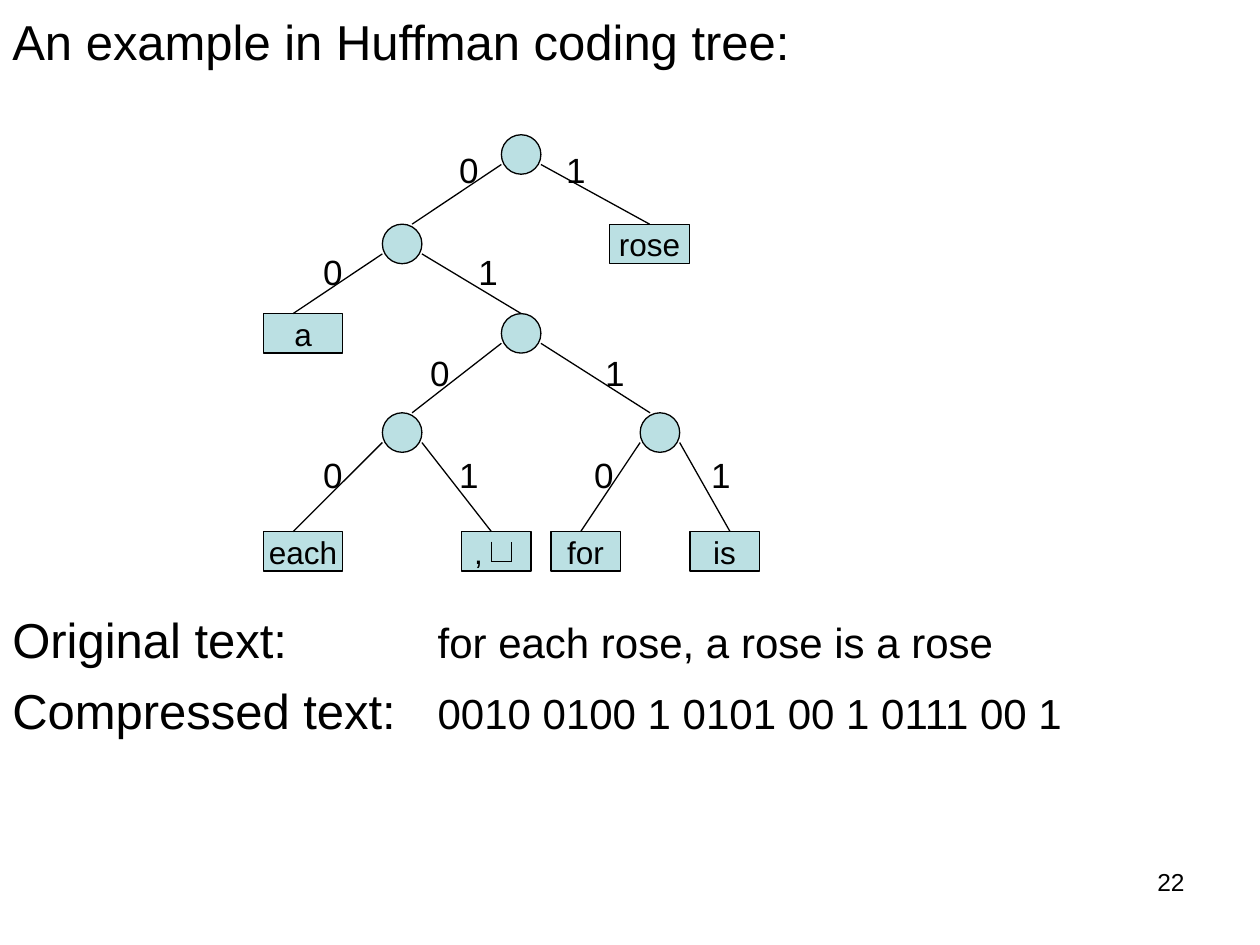
from dataclasses import dataclass
from itertools import pairwise

from lxml import etree
from pptx import Presentation
from pptx.dml.color import RGBColor
from pptx.enum import shapes, text
from pptx.oxml import ns
from pptx.util import Pt


@dataclass(frozen=True)
class Theme:
    font: str = "Arial"
    ink: RGBColor = RGBColor(0, 0, 0)
    node: RGBColor = RGBColor(0xBB, 0xE0, 0xE3)
    line: float = 0.75
    heading: int = 28
    message: int = 24
    bit: int = 20
    word: int = 18
    page: int = 14


THEME = Theme()
NODE = 22.6     # diameter of an inner node, height of a leaf
EXIT = 17       # height on a parent at which its branches start
ENTRY = 17      # usual distance from a child's left edge to its branch
BIT_TOP, BIT_STEP = 19.5, 58

# name: (left, top, width, word); inner nodes have no word
NODES = {
    "root": (136, 0, NODE, None),
    "0": (68, 51.1, NODE, None),
    "1": (198, 51.1, 45.4, "rose"),
    "00": (0, 102.2, 45.4, "a"),
    "01": (136, 102.2, NODE, None),
    "010": (68, 158.9, NODE, None),
    "011": (215.3, 158.9, NODE, None),
    "0100": (0, 226.8, 45.4, "each"),
    "0101": (113.3, 226.8, 39.7, ","),
    "0010": (164.3, 226.8, 39.7, "for"),
    "0111": (243.7, 226.8, 39.7, "is"),
}

# parent, child, bit, level, centre of the bit, entry (None: middle of the top)
BRANCHES = [
    ("root", "0", "0", 0, 117.5, ENTRY),
    ("root", "1", "1", 0, 178.6, None),
    ("0", "00", "0", 1, 39.8, ENTRY),
    ("0", "01", "1", 1, 128.4, None),
    ("01", "010", "0", 2, 100.9, ENTRY),
    ("01", "011", "1", 2, 200.9, 5.7),
    ("010", "0100", "0", 3, 39.8, ENTRY),
    ("010", "0101", "1", 3, 117.5, ENTRY),
    ("011", "0010", "0", 3, 194.6, ENTRY),
    ("011", "0111", "1", 3, 261.5, 23),
]


def style(font, size):
    font.name = THEME.font
    font.size = Pt(size)
    font.color.rgb = THEME.ink


def add_text(slide, box, words, size, align=text.PP_ALIGN.LEFT):
    frame = slide.shapes.add_textbox(*map(Pt, box)).text_frame
    frame.word_wrap = True
    paragraph = frame.paragraphs[0]
    paragraph.text = words
    paragraph.alignment = align
    style(paragraph.font, size)
    return frame


def add_line(slide, start, end):
    line = slide.shapes.add_connector(
        shapes.MSO_CONNECTOR.STRAIGHT, *map(Pt, (*start, *end)))
    line.line.color.rgb = THEME.ink
    line.line.width = Pt(THEME.line)
    etree.SubElement(line._element.spPr, ns.qn("a:effectLst"))
    return line


def add_node(slide, left, top, width, word):
    """Place an inner node, or a leaf when there is a word."""
    preset = shapes.MSO_SHAPE.RECTANGLE if word else shapes.MSO_SHAPE.OVAL
    node = slide.shapes.add_shape(preset, *map(Pt, (left, top, width, NODE)))
    node.shadow.inherit = False
    node.fill.solid()
    node.fill.fore_color.rgb = THEME.node
    node.line.color.rgb = THEME.ink
    node.line.width = Pt(THEME.line)
    if word:
        frame = node.text_frame
        frame.word_wrap = False
        frame.vertical_anchor = text.MSO_ANCHOR.MIDDLE
        paragraph = frame.paragraphs[0]
        paragraph.text = word
        paragraph.alignment = (
            text.PP_ALIGN.LEFT if word == "," else text.PP_ALIGN.CENTER)
        style(paragraph.font, THEME.word)
    return node


def add_space_sign(slide, left, top, side=11.5):
    corners = [(left, top), (left, top + side),
               (left + side, top + side), (left + side, top)]
    for start, end in pairwise(corners):
        add_line(slide, start, end)


def add_tree(slide, left, top):
    nodes = {name: add_node(slide, left + x, top + y, width, word)
             for name, (x, y, width, word) in NODES.items()}
    for parent, child, bit, level, bit_x, entry in BRANCHES:
        parent_x, parent_y, parent_width, _ = NODES[parent]
        child_x, child_y, child_width, _ = NODES[child]
        start_x = parent_x + (parent_width if bit == "1" else 0)
        end_x = child_x + (child_width / 2 if entry is None else entry)
        branch = add_line(slide, (left + start_x, top + parent_y + EXIT),
                          (left + end_x, top + child_y))
        if entry is None:
            branch.end_connect(nodes[child], 0)
        bit_y = BIT_TOP + BIT_STEP * level
        add_text(slide, (left + bit_x - 15, top + bit_y - 15, 30, 30),
                 bit, THEME.bit, text.PP_ALIGN.CENTER)
    comma_x, comma_y, _, _ = NODES["0101"]
    add_space_sign(slide, left + comma_x + 17, top + comma_y + 5.7)


def add_messages(slide, box, messages, tab=243):
    """Set labelled messages one to a line, the messages aligned on a tab."""
    frame = slide.shapes.add_textbox(*map(Pt, box)).text_frame
    frame.word_wrap = True
    for index, (label, message) in enumerate(messages):
        paragraph = frame.add_paragraph() if index else frame.paragraphs[0]
        paragraph.space_after = Pt(7)
        stops = etree.SubElement(
            paragraph._p.get_or_add_pPr(), ns.qn("a:tabLst"))
        etree.SubElement(stops, ns.qn("a:tab"), pos=str(Pt(tab)), algn="l")
        for words, size in ((label + "\t", THEME.heading),
                            (message, THEME.message)):
            run = paragraph.add_run()
            run.text = words
            style(run.font, size)


def main():
    deck = Presentation()
    deck.slide_width, deck.slide_height = Pt(720), Pt(540)
    slide = deck.slides.add_slide(deck.slide_layouts[6])
    add_text(slide, (0, 3, 720, 40),
             "An example in Huffman coding tree:", THEME.heading)
    add_tree(slide, 150.5, 77)
    add_messages(slide, (0, 344.5, 720, 86), [
        ("Original text:", "for each rose, a rose is a rose"),
        ("Compressed text:", "0010 0100 1 0101 00 1 0111 00 1"),
    ])
    add_text(slide, (516, 492, 168, 37.5), "22", THEME.page,
             text.PP_ALIGN.RIGHT)
    deck.save("out.pptx")


if __name__ == "__main__":
    main()
